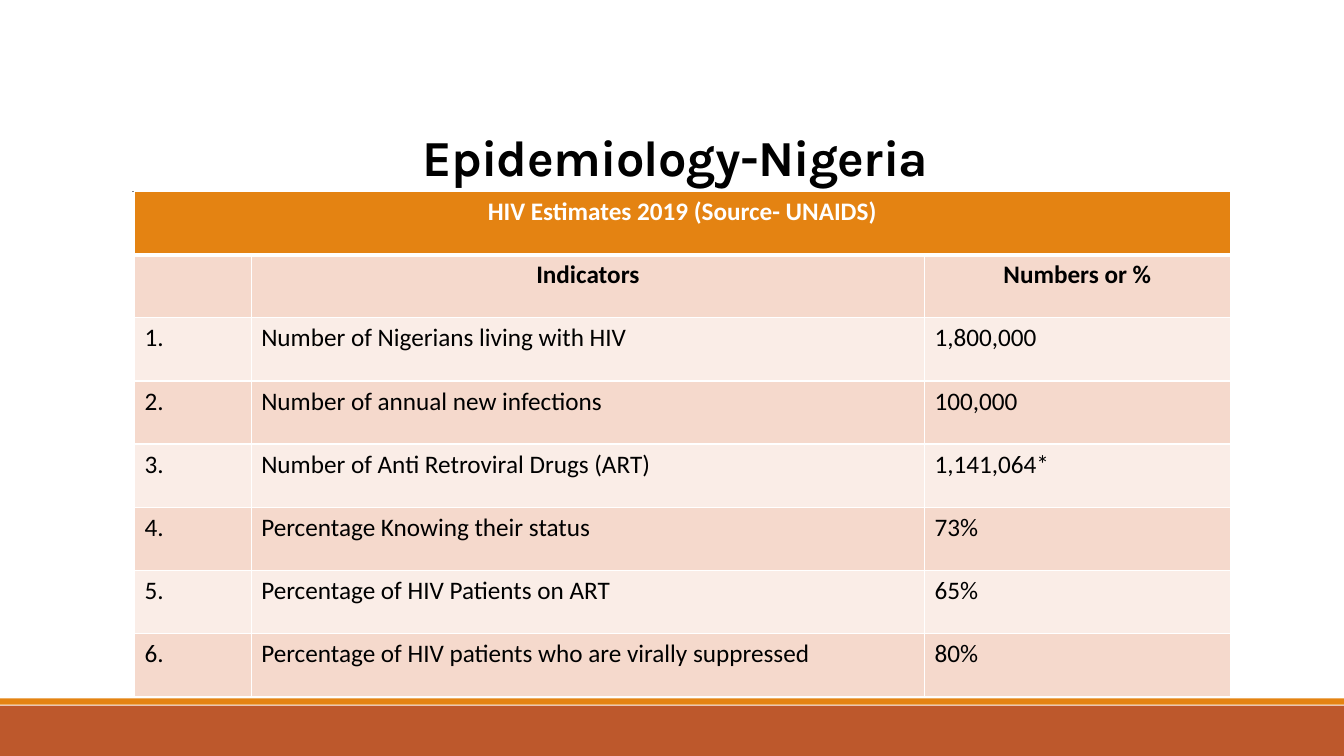
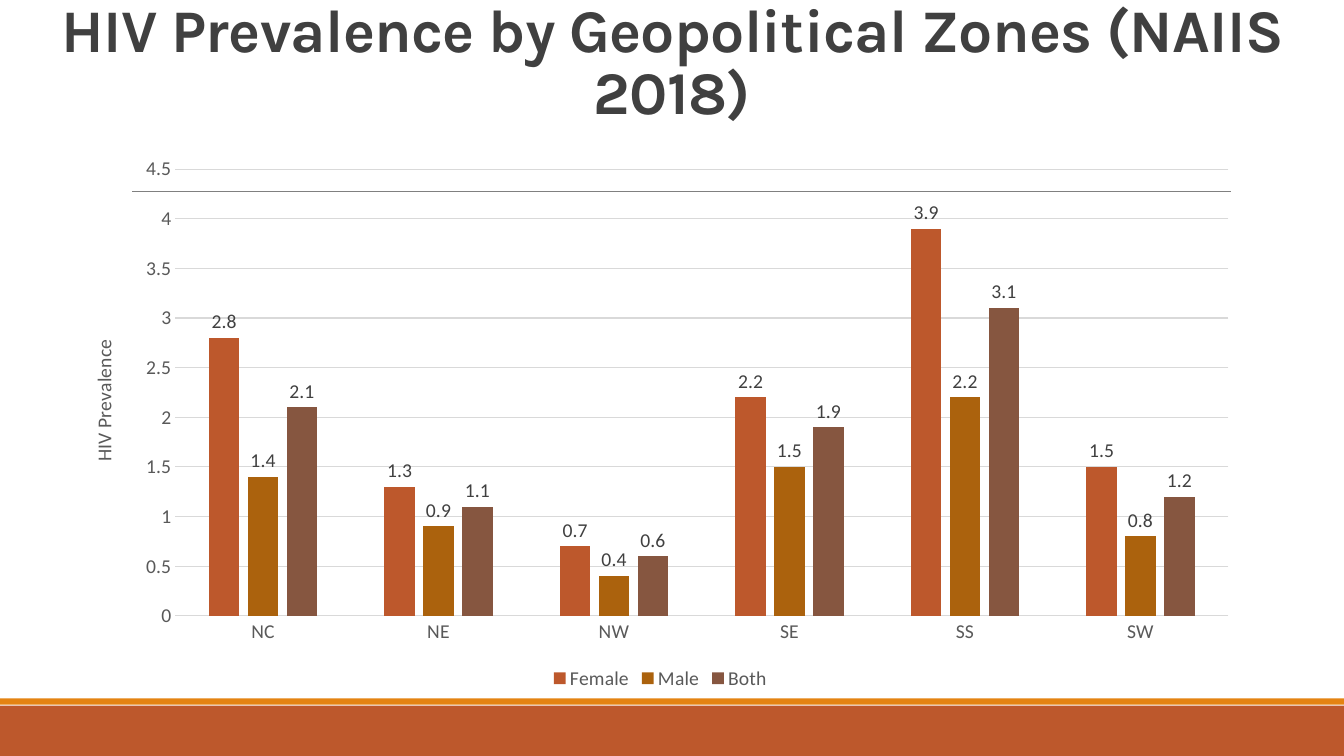
from dataclasses import dataclass

from lxml import etree
from pptx import Presentation
from pptx.chart.data import CategoryChartData
from pptx.dml.color import RGBColor
from pptx.enum.chart import XL_CHART_TYPE, XL_LABEL_POSITION, XL_LEGEND_POSITION, XL_TICK_MARK
from pptx.enum.shapes import MSO_CONNECTOR, MSO_SHAPE
from pptx.enum.text import MSO_ANCHOR, PP_ALIGN
from pptx.oxml.ns import qn
from pptx.util import Cm, Pt

COLUMNS = XL_CHART_TYPE.COLUMN_CLUSTERED
OUTSIDE = XL_LABEL_POSITION.OUTSIDE_END
BELOW = XL_LEGEND_POSITION.BOTTOM
NO_TICK = XL_TICK_MARK.NONE
STRAIGHT = MSO_CONNECTOR.STRAIGHT
RECT = MSO_SHAPE.RECTANGLE
BOTTOM = MSO_ANCHOR.BOTTOM
LEFT, CENTER = PP_ALIGN.LEFT, PP_ALIGN.CENTER


@dataclass(frozen=True)
class Theme:
    width: float = 33.87
    height: float = 19.05
    head: str = "Karla"
    body: str = "Calibri"
    white: str = "FFFFFF"
    black: str = "000000"
    dark: str = "404040"
    gray: str = "595959"
    rule: str = "808080"
    grid: str = "D9D9D9"
    rust: str = "BD582C"
    orange: str = "E48312"
    ochre: str = "AB620D"
    brown: str = "865640"
    rows: tuple = ("F5D9CC", "FAEDE7")
    cell: float = 18
    label: float = 14


THEME = Theme()

HEADING = "HIV Estimates 2019 (Source- UNAIDS)"
COLS = (2.94, 16.97, 7.7)
ROWS = (
    ("", "Indicators", "Numbers or %"),
    ("1.", "Number of Nigerians living with HIV", "1,800,000"),
    ("2.", "Number of annual new infections", "100,000"),
    ("3.", "Number of Anti Retroviral Drugs (ART)", "1,141,064*"),
    ("4.", "Percentage Knowing their status", "73%"),
    ("5.", "Percentage of HIV Patients on ART", "65%"),
    ("6.", "Percentage of HIV patients who are virally suppressed", "80%"),
)
ZONES = ("NC", "NE", "NW", "SE", "SS", "SW")
SERIES = (
    ("Female", THEME.rust, (2.8, 1.3, 0.7, 2.2, 3.9, 1.5)),
    ("Male", THEME.ochre, (1.4, 0.9, 0.4, 1.5, 2.2, 0.8)),
    ("Both", THEME.brown, (2.1, 1.1, 0.6, 1.9, 3.1, 1.2)),
)


def rgb(color):
    return RGBColor.from_string(color)


def box(*sides):
    return [Cm(side) for side in sides]


def set_font(font, size, color, name=THEME.body, bold=False):
    font.name, font.size, font.bold = name, Pt(size), bold
    font.color.rgb = rgb(color)


def set_line(line, color, width):
    line.color.rgb = rgb(color)
    line.width = Pt(width)


def add_band(slide, top, height, color):
    band = slide.shapes.add_shape(RECT, *box(0, top, THEME.width, height))
    band.shadow.inherit = False
    band.fill.solid()
    band.fill.fore_color.rgb = rgb(color)
    band.line.fill.background()


def add_rule(slide, left, right, top):
    rule = slide.shapes.add_connector(STRAIGHT, *box(left, top, right, top))
    set_line(rule.line, THEME.rule, 0.5)
    etree.SubElement(rule.element.spPr, qn("a:effectLst"))


def add_slide(deck):
    """Add a blank slide with the shared bands and title rule."""
    slide = deck.slides.add_slide(deck.slide_layouts[6])
    add_band(slide, 17.78, 1.27, THEME.rust)
    add_band(slide, 17.6, 0.16, THEME.orange)
    add_rule(slide, 3.33, 31.01, 4.82)
    return slide


def add_title(slide, text, place, size, color):
    frame = slide.shapes.add_textbox(*box(*place)).text_frame
    frame.word_wrap = True
    frame.vertical_anchor = BOTTOM
    frame.text = text
    para = frame.paragraphs[0]
    para.alignment = CENTER
    para.line_spacing = 0.85
    run = para.runs[0]
    set_font(run.font, size, color, THEME.head, True)
    run.font._element.set("spc", "-50")


def set_edges(cell, under):
    """Draw white cell borders, with the lower one of the given width."""
    props = cell._tc.get_or_add_tcPr()
    for place, side in enumerate("LRTB"):
        width = under if side == "B" else 1
        edge = etree.Element(qn(f"a:ln{side}"), w=str(Pt(width)))
        fill = etree.SubElement(edge, qn("a:solidFill"))
        etree.SubElement(fill, qn("a:srgbClr"), val=THEME.white)
        props.insert(place, edge)


def fill_cell(cell, text, fill, color=THEME.black, bold=False, under=1):
    cell.fill.solid()
    cell.fill.fore_color.rgb = rgb(fill)
    set_edges(cell, under)
    cell.text_frame.text = text
    para = cell.text_frame.paragraphs[0]
    para.alignment = CENTER if bold else LEFT
    set_font(para.font, THEME.cell, color, bold=bold)
    for run in para.runs:
        set_font(run.font, THEME.cell, color, bold=bold)


def add_table(slide, left, top, step):
    count = len(ROWS) + 1
    place = box(left, top, sum(COLS), step * count)
    table = slide.shapes.add_table(count, len(COLS), *place).table
    for col, width in zip(table.columns, COLS):
        col.width = Cm(width)
    for row in table.rows:
        row.height = Cm(step)
    for col in range(len(COLS)):
        text = "" if col else HEADING
        fill_cell(table.cell(0, col), text, THEME.orange, THEME.white, True, 3)
    table.cell(0, 0).merge(table.cell(0, len(COLS) - 1))
    for row, texts in enumerate(ROWS):
        fill = THEME.rows[row % 2]
        for col, text in enumerate(texts):
            fill_cell(table.cell(row + 1, col), text, fill, bold=row == 0)


def style_axes(chart):
    for axis in (chart.category_axis, chart.value_axis):
        axis.major_tick_mark = axis.minor_tick_mark = NO_TICK
        set_font(axis.tick_labels.font, THEME.label, THEME.gray)
    set_line(chart.category_axis.format.line, THEME.grid, 0.75)
    scale = chart.value_axis
    scale.minimum_scale, scale.maximum_scale, scale.major_unit = 0, 4.5, 0.5
    scale.format.line.fill.background()
    set_line(scale.major_gridlines.format.line, THEME.grid, 0.75)
    frame = scale.axis_title.text_frame
    frame.text = "HIV Prevalence"
    set_font(frame.paragraphs[0].runs[0].font, THEME.label, THEME.gray)


def style_bars(plot):
    plot.gap_width, plot.overlap = 219, -27
    plot.vary_by_categories = False
    for bars, (_, color, _) in zip(plot.series, SERIES):
        bars.format.fill.solid()
        bars.format.fill.fore_color.rgb = rgb(color)
        labels = bars.data_labels
        labels.show_value = True
        labels.position = OUTSIDE
        set_font(labels.font, THEME.label, THEME.dark)


def add_chart(slide, place):
    data = CategoryChartData()
    data.categories = ZONES
    for name, _, values in SERIES:
        data.add_series(name, values)
    chart = slide.shapes.add_chart(COLUMNS, *box(*place), data).chart
    set_font(chart.font, THEME.label, THEME.black)
    chart.has_title = False
    chart.has_legend = True
    chart.legend.position = BELOW
    chart.legend.include_in_layout = False
    set_font(chart.legend.font, THEME.label, THEME.gray)
    style_axes(chart)
    style_bars(chart.plots[0])


def main():
    deck = Presentation()
    deck.slide_width, deck.slide_height = box(THEME.width, THEME.height)

    slide = add_slide(deck)
    add_title(slide, "Epidemiology-Nigeria", (3.05, 0.79, 27.94, 4.04), 36, THEME.black)
    add_table(slide, 3.39, 4.83, 1.59)

    slide = add_slide(deck)
    add_title(slide, "HIV Prevalence by Geopolitical Zones (NAIIS 2018)",
              (0.94, 0.53, 32, 2.79), 43.2, THEME.dark)
    add_chart(slide, (1.73, 3.68, 29.82, 13.82))

    deck.save("out.pptx")


if __name__ == "__main__":
    main()
